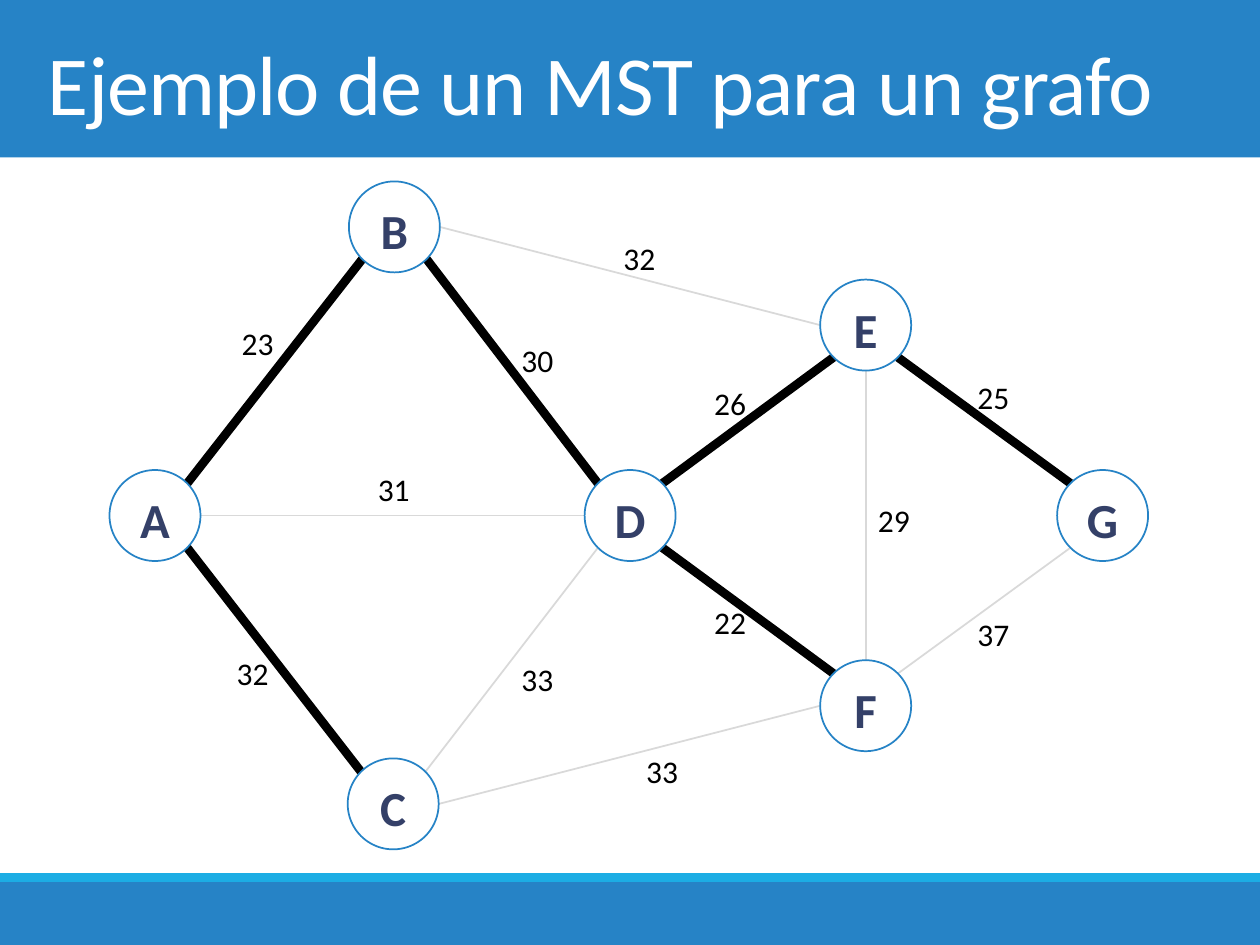
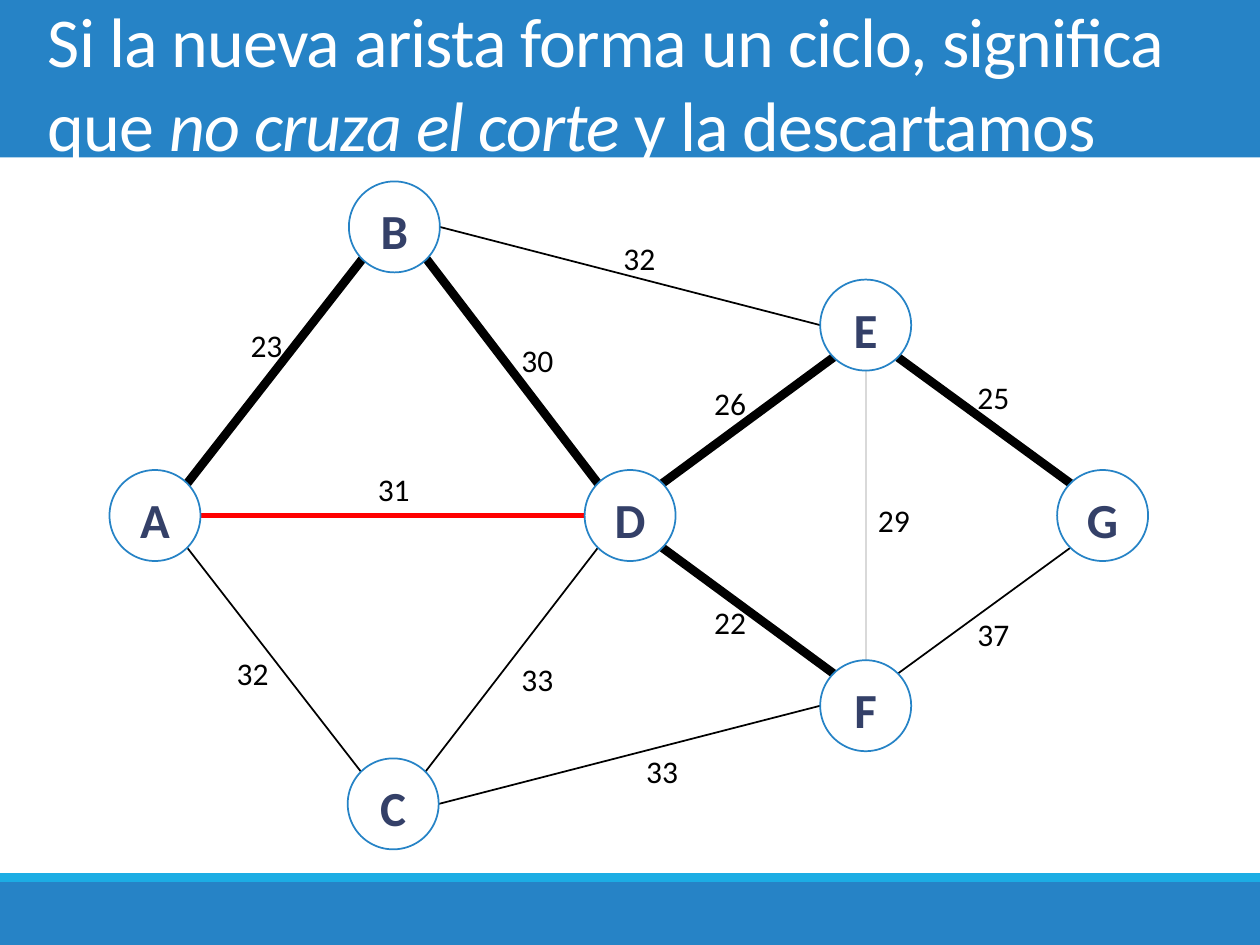
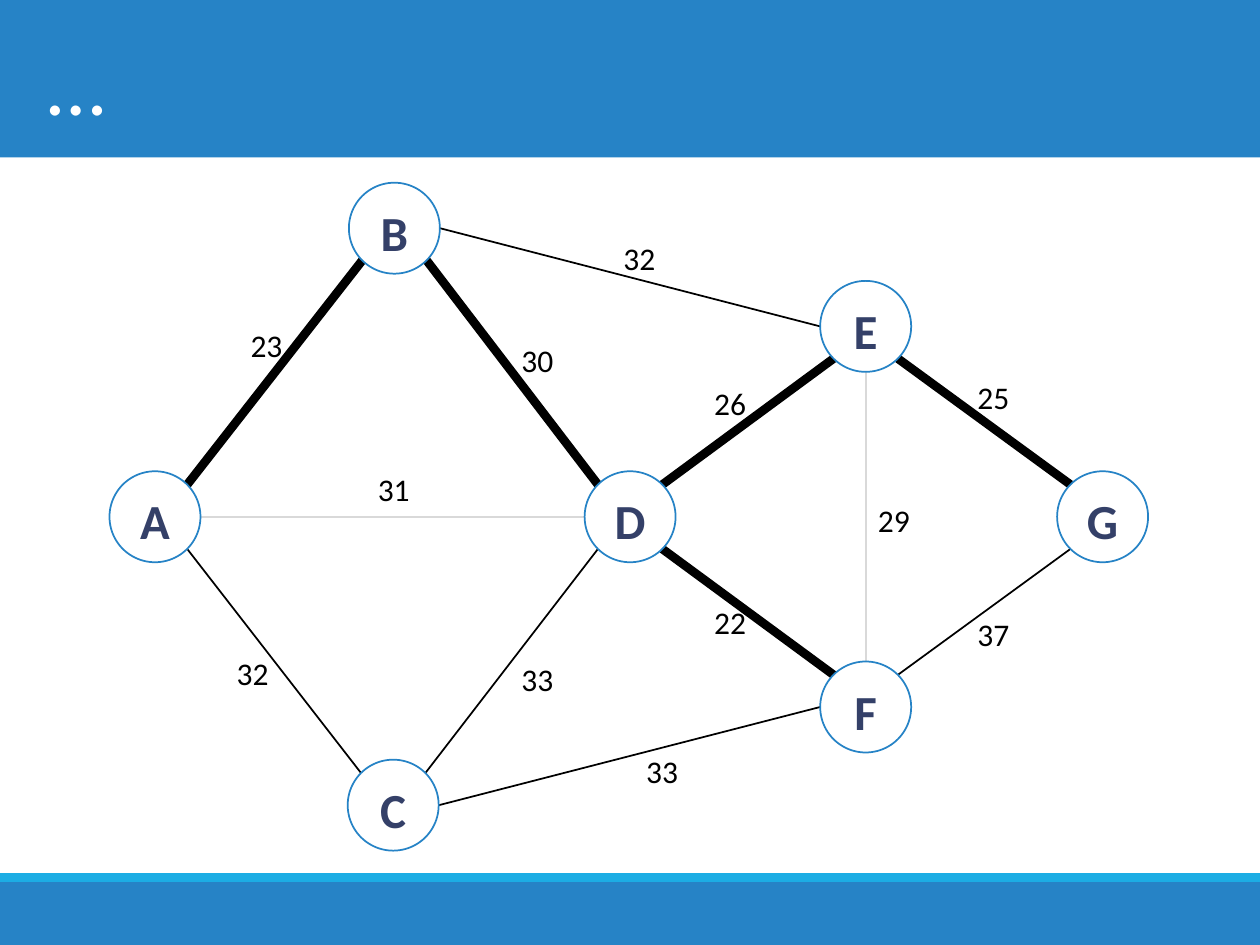
from dataclasses import dataclass
from math import sqrt

from lxml.etree import SubElement
from pptx import Presentation
from pptx.dml.color import RGBColor
from pptx.enum.shapes import MSO_CONNECTOR, MSO_SHAPE
from pptx.enum.text import MSO_ANCHOR, MSO_AUTO_SIZE, PP_ALIGN
from pptx.oxml.ns import qn
from pptx.util import Pt

BLUE = RGBColor(0x26, 0x83, 0xC6)
CYAN = RGBColor(0x1C, 0xAD, 0xE4)
NAVY = RGBColor(0x34, 0x40, 0x68)
GREY = RGBColor(0xD9, 0xD9, 0xD9)
RED = RGBColor(0xFF, 0x00, 0x00)
BLACK = RGBColor(0x00, 0x00, 0x00)
WHITE = RGBColor(0xFF, 0xFF, 0xFF)
FONT = "Calibri"

PAGE_WIDTH, PAGE_HEIGHT = 720, 540
BANDS = [(0, 90, BLUE), (504, 36, BLUE), (499, 5, CYAN)]

DIAMETER = 52
NODES = {
    "E": (468.7, 159.8),
    "B": (199.4, 103.7),
    "C": (198.7, 433.4),
    "D": (334.1, 268.6),
    "F": (468.7, 377.3),
    "G": (604.1, 268.6),
    "A": (62.6, 268.6),
}
DIAGONAL = 1 / sqrt(2)
SIDES = {
    "top": (0, -1),
    "bottom": (0, 1),
    "left": (-1, 0),
    "right": (1, 0),
    "top left": (-DIAGONAL, -DIAGONAL),
    "top right": (DIAGONAL, -DIAGONAL),
    "bottom left": (-DIAGONAL, DIAGONAL),
    "bottom right": (DIAGONAL, DIAGONAL),
}

# Each edge: start node and side, end node and side, weight, label position.
EDGES = {
    "AB": ("bottom left", "top right", "23", (136.1, 182.9)),
    "BD": ("bottom right", "top left", "30", (290.9, 191.5)),
    "DE": ("top right", "bottom left", "26", (401, 216)),
    "EG": ("bottom right", "top left", "25", (551.5, 212.4)),
    "AC": ("bottom right", "top left", "32", (128.2, 370.1)),
    "CD": ("top right", "bottom left", "33", (290.9, 373.7)),
    "FD": ("top left", "bottom right", "22", (401, 341.3)),
    "FG": ("top right", "bottom left", "37", (551.5, 347.8)),
    "AD": ("right", "left", "31", (208.8, 265)),
    "BE": ("right", "left", "32", (349.2, 133.2)),
    "EF": ("bottom", "top", "29", (494.6, 283)),
    "CF": ("right", "left", "33", (362.2, 426.2)),
}
EDGES["AB"] = ("top right", "bottom left") + EDGES["AB"][2:]
PARTIAL_TREE = {"AB", "BD", "DE", "EG", "FD"}


@dataclass
class Step:
    """One state of the spanning tree, with its title."""
    title: list
    size: int
    tree: set
    discarded: set
    cycle: str = ""
    node_shift: float = 0
    first_label: tuple = EDGES["AB"][3]

    def stroke(self, edge):
        """Return the colour and width of an edge."""
        if edge in self.tree:
            return BLACK, 5
        if edge == self.cycle:
            return RED, 3
        return (GREY if edge in self.discarded else BLACK), 1


FULL_TREE = PARTIAL_TREE | {"AC"}
STEPS = [
    Step([("Ejemplo de un MST para un grafo", False)], 48,
         FULL_TREE, set(EDGES) - FULL_TREE, first_label=(131, 181.4)),
    Step([("Si la nueva arista forma un ciclo, significa que ", False),
          ("no cruza el corte", True),
          (" y la descartamos", False)], 40,
         PARTIAL_TREE, {"EF"}, cycle="AD"),
    Step([("…", False)], 48, PARTIAL_TREE, {"EF", "AD"}, node_shift=0.72),
]


def format_font(para, size, color, bold=False):
    """Set the font of a whole paragraph."""
    para.font.name = FONT
    para.font.size = Pt(size)
    para.font.bold = bold
    para.font.color.rgb = color


def add_bands(deck, page):
    """Draw the bands and move them behind everything on the master."""
    tree = deck.slide_master.shapes.element
    for index, (top, height, color) in enumerate(BANDS):
        band = page.shapes.add_shape(
            MSO_SHAPE.RECTANGLE, 0, Pt(top), Pt(PAGE_WIDTH), Pt(height))
        band.shadow.inherit = False
        band.fill.solid()
        band.fill.fore_color.rgb = color
        band.line.fill.background()
        next(band.element.iter(qn("p:cNvPr"))).set("id", str(100 + index))
        tree.insert(2 + index, band.element)


def fill_title(page, step):
    """Place and write the title."""
    title = page.shapes.title
    title.left, title.top = Pt(20.2), 0
    title.width, title.height = Pt(680.4), Pt(90)
    frame = title.text_frame
    frame.word_wrap = True
    frame.auto_size = MSO_AUTO_SIZE.NONE
    frame.vertical_anchor = MSO_ANCHOR.MIDDLE
    frame.margin_bottom = 0
    para = frame.paragraphs[0]
    para.alignment = PP_ALIGN.LEFT
    format_font(para, step.size, WHITE)
    next(title.element.iter(qn("a:defRPr"))).set("spc", "-50")
    for text, italic in step.title:
        span = para.add_run()
        span.text = text
        if italic:
            span.font.italic = True


def rim_point(node, side, shift):
    """Return the point on the rim of a node at the given side."""
    radius = DIAMETER / 2
    left, top = NODES[node]
    across, down = SIDES[side]
    return (Pt(left + radius * (1 + across)),
            Pt(top + shift + radius * (1 + down)))


def add_edge(page, edge, step):
    """Draw an edge between two nodes."""
    start, end = edge
    start_side, end_side = EDGES[edge][:2]
    if edge == "AB":
        start_side, end_side = "top right", "bottom left"
    line = page.shapes.add_connector(
        MSO_CONNECTOR.STRAIGHT,
        *rim_point(start, start_side, step.node_shift),
        *rim_point(end, end_side, step.node_shift))
    color, width = step.stroke(edge)
    line.line.color.rgb = color
    line.line.width = Pt(width)
    SubElement(line.element.find(qn("p:spPr")), qn("a:effectLst"))


def add_weight(page, text, left, top):
    """Write the weight of an edge."""
    box = page.shapes.add_textbox(Pt(left), Pt(top), Pt(33.1), Pt(29))
    frame = box.text_frame
    frame.word_wrap = False
    frame.auto_size = MSO_AUTO_SIZE.SHAPE_TO_FIT_TEXT
    para = frame.paragraphs[0]
    para.text = text
    format_font(para, 18, BLACK)


def add_node(page, name, shift):
    """Draw a node with its letter."""
    left, top = NODES[name]
    node = page.shapes.add_shape(
        MSO_SHAPE.OVAL, Pt(left), Pt(top + shift), Pt(DIAMETER), Pt(DIAMETER))
    node.shadow.inherit = False
    node.fill.solid()
    node.fill.fore_color.rgb = WHITE
    node.line.color.rgb = BLUE
    node.line.width = Pt(1)
    node.text_frame.vertical_anchor = MSO_ANCHOR.TOP
    para = node.text_frame.paragraphs[0]
    para.text = name
    para.alignment = PP_ALIGN.CENTER
    format_font(para, 28, NAVY, bold=True)


def add_graph(page, step):
    """Draw the edges, then their weights, then the nodes."""
    for edge in EDGES:
        add_edge(page, edge, step)
    for edge, (_, _, weight, place) in EDGES.items():
        add_weight(page, weight, *(step.first_label if edge == "AB" else place))
    for name in NODES:
        add_node(page, name, step.node_shift)


def main():
    """Build the deck."""
    deck = Presentation()
    deck.slide_width, deck.slide_height = Pt(PAGE_WIDTH), Pt(PAGE_HEIGHT)
    title_only = deck.slide_layouts[5]
    for index, step in enumerate(STEPS):
        page = deck.slides.add_slide(title_only)
        if index == 0:
            add_bands(deck, page)
        fill_title(page, step)
        add_graph(page, step)
    deck.save("out.pptx")


if __name__ == "__main__":
    main()
